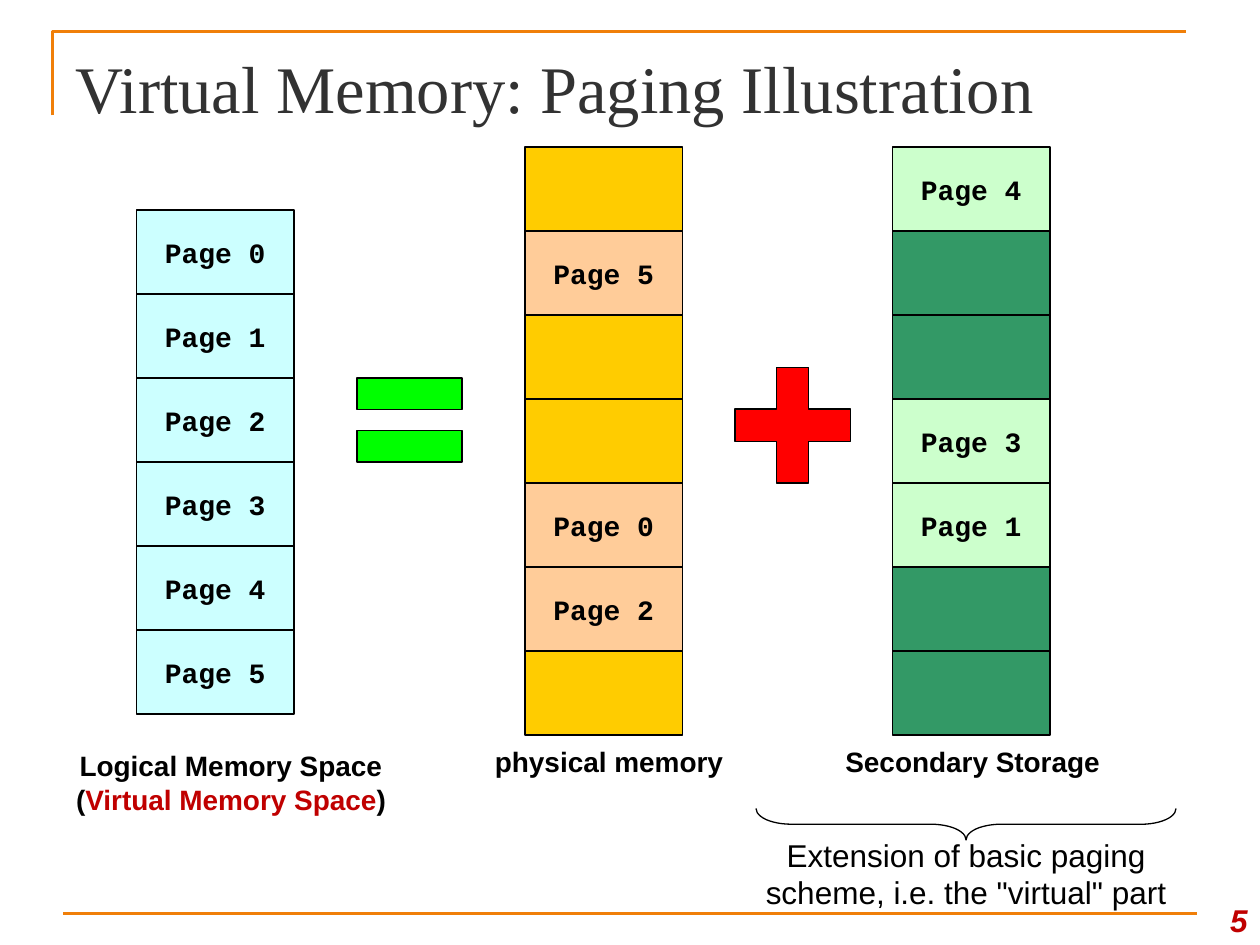
"""Build a slide showing logical memory as physical memory plus secondary storage."""
from dataclasses import dataclass
from typing import Optional

import pptx
import pptx.dml.color
import pptx.enum.shapes
import pptx.enum.text
import pptx.oxml.ns
import pptx.util
from lxml import etree

Pt = pptx.util.Pt
RGBColor = pptx.dml.color.RGBColor
MSO_SHAPE = pptx.enum.shapes.MSO_SHAPE
ALIGN = pptx.enum.text.PP_ALIGN
ANCHOR = pptx.enum.text.MSO_ANCHOR

BLACK = RGBColor(0x00, 0x00, 0x00)
CHARCOAL = RGBColor(0x32, 0x32, 0x32)
ORANGE = RGBColor(0xF0, 0x7F, 0x09)
DARK_RED = RGBColor(0xC0, 0x00, 0x00)
RED = RGBColor(0xFF, 0x00, 0x00)
LIME = RGBColor(0x00, 0xFF, 0x00)
PALE_CYAN = RGBColor(0xCC, 0xFF, 0xFF)
PEACH = RGBColor(0xFF, 0xCC, 0x99)
GOLD = RGBColor(0xFF, 0xCC, 0x00)
PALE_GREEN = RGBColor(0xCC, 0xFF, 0xCC)
SEA_GREEN = RGBColor(0x33, 0x99, 0x66)

PAGE_WIDTH, PAGE_HEIGHT = 90, 48


@dataclass(frozen=True)
class Memory:
    left: float
    top: float
    pages: tuple[Optional[int], ...]
    used: RGBColor
    free: RGBColor


@dataclass(frozen=True)
class Caption:
    box: tuple[float, float, float, float]
    paragraphs: tuple[tuple[tuple[str, RGBColor], ...], ...]
    size: float = 16
    bold: bool = True
    italic: bool = False
    align: ALIGN = ALIGN.CENTER
    anchor: ANCHOR = ANCHOR.MIDDLE


LOGICAL = Memory(78, 120, (0, 1, 2, 3, 4, 5), PALE_CYAN, PALE_CYAN)
PHYSICAL = Memory(300, 84, (None, 5, None, None, 0, 2, None), PEACH, GOLD)
SECONDARY = Memory(510, 84, (4, None, None, 3, 1, None, None), PALE_GREEN, SEA_GREEN)

CAPTIONS = (
    Caption((24, 420, 216, 54), (
        (("Logical Memory Space", BLACK),),
        (("(", BLACK), ("Virtual Memory Space", DARK_RED), (")", BLACK)),
    )),
    Caption((264, 420, 168, 30), ((("physical memory", BLACK),),)),
    Caption((474, 420, 168, 30), ((("Secondary Storage ", BLACK),),)),
    Caption((420, 474, 264, 50.4),
            ((('Extension of basic paging scheme, i.e. the "virtual" part', BLACK),),),
            size=18, bold=False, anchor=ANCHOR.TOP),
    Caption((678, 504, 42, 36), ((("5", DARK_RED),),),
            size=18, italic=True, align=ALIGN.RIGHT, anchor=ANCHOR.BOTTOM),
)


def write_text(frame, paragraphs, *, size: float, font: str = "Arial", bold: bool = False,
               italic: bool = False, align: ALIGN = ALIGN.CENTER,
               anchor: ANCHOR = ANCHOR.MIDDLE) -> None:
    frame.word_wrap = True
    frame.auto_size = pptx.enum.text.MSO_AUTO_SIZE.NONE
    frame.vertical_anchor = anchor
    for index, runs in enumerate(paragraphs):
        paragraph = frame.add_paragraph() if index else frame.paragraphs[0]
        paragraph.alignment = align
        for text, color in runs:
            run = paragraph.add_run()
            run.text = text
            run.font.name = font
            run.font.size = Pt(size)
            run.font.bold = bold
            run.font.italic = italic
            run.font.color.rgb = color


def draw_shape(shapes, kind: MSO_SHAPE, left: float, top: float, width: float, height: float,
               fill: Optional[RGBColor] = None):
    shape = shapes.add_shape(kind, Pt(left), Pt(top), Pt(width), Pt(height))
    shape.shadow.inherit = False
    if fill is None:
        shape.fill.background()
    else:
        shape.fill.solid()
        shape.fill.fore_color.rgb = fill
    shape.line.color.rgb = BLACK
    shape.line.width = Pt(0.75)
    return shape


def draw_memory(shapes, memory: Memory) -> None:
    for row, page in enumerate(memory.pages):
        fill = memory.free if page is None else memory.used
        cell = draw_shape(shapes, MSO_SHAPE.RECTANGLE, memory.left,
                          memory.top + row * PAGE_HEIGHT, PAGE_WIDTH, PAGE_HEIGHT, fill)
        if page is not None:
            write_text(cell.text_frame, (((f"Page {page}", BLACK),),),
                       size=16, font="Courier New", bold=True)


def draw_caption(shapes, caption: Caption) -> None:
    box = shapes.add_textbox(*(Pt(length) for length in caption.box))
    write_text(box.text_frame, caption.paragraphs, size=caption.size, bold=caption.bold,
               italic=caption.italic, align=caption.align, anchor=caption.anchor)


def draw_frame(shapes) -> None:
    builder = shapes.build_freeform(Pt(30), Pt(66))
    builder.add_line_segments([(Pt(30), Pt(18)), (Pt(678), Pt(18))], close=False)
    corner = builder.convert_to_shape()
    corner.shadow.inherit = False
    corner.fill.background()
    footer = shapes.add_connector(pptx.enum.shapes.MSO_CONNECTOR.STRAIGHT,
                                  Pt(36), Pt(522), Pt(684), Pt(522))
    for rule in (corner, footer):
        rule.line.color.rgb = ORANGE
        rule.line.width = Pt(1.5)
    etree.SubElement(footer._element.spPr, pptx.oxml.ns.qn("a:effectLst"))


def main() -> None:
    deck = pptx.Presentation()
    deck.slide_width, deck.slide_height = Pt(720), Pt(540)
    slide = deck.slides.add_slide(deck.slide_layouts[5])
    shapes = slide.shapes

    title = shapes.title
    title.left, title.top, title.width, title.height = Pt(36), Pt(21.6), Pt(648), Pt(56)
    write_text(title.text_frame, ((("Virtual Memory: Paging Illustration", CHARCOAL),),),
               size=38, font="Times New Roman", align=ALIGN.LEFT)
    draw_frame(shapes)

    draw_memory(shapes.add_group_shape().shapes, LOGICAL)
    draw_memory(shapes, PHYSICAL)
    draw_memory(shapes, SECONDARY)

    equals_sign = shapes.add_group_shape().shapes
    for top in (216, 246):
        draw_shape(equals_sign, MSO_SHAPE.RECTANGLE, 204, top, 60, 18, LIME)
    plus_sign = draw_shape(shapes, MSO_SHAPE.CROSS, 420, 210, 66, 66, RED)
    plus_sign.adjustments[0] = 0.36

    brace = draw_shape(shapes, MSO_SHAPE.RIGHT_BRACE, 543, 351, 18, 240)
    brace.rotation = 90
    brace.adjustments[0] = 1.11

    for caption in CAPTIONS:
        draw_caption(shapes, caption)
    deck.save("out.pptx")


if __name__ == "__main__":
    main()
